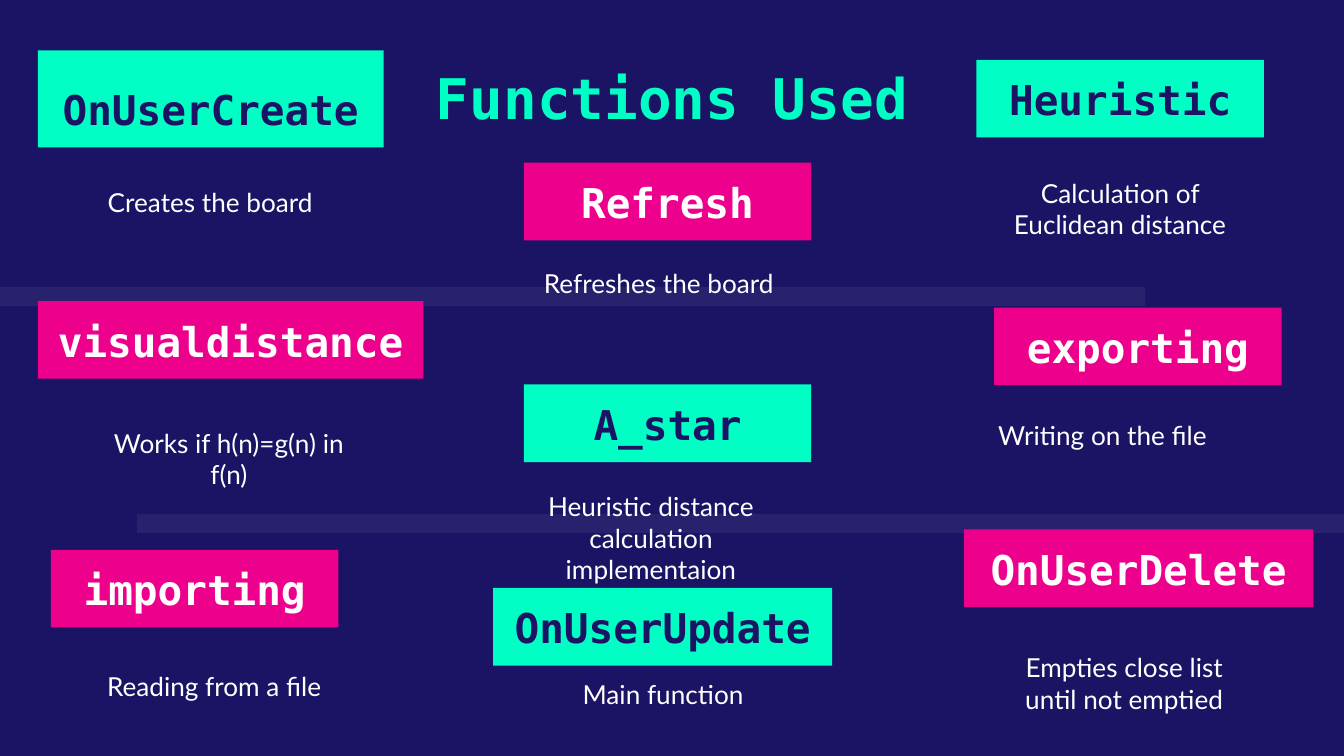
from pptx import Presentation
from pptx.dml.color import RGBColor
from pptx.enum.shapes import MSO_SHAPE
from pptx.enum.text import MSO_ANCHOR, PP_ALIGN
from pptx.oxml.ns import qn
from pptx.util import Pt
from lxml import etree

RECT = MSO_SHAPE.RECTANGLE
CENTER = PP_ALIGN.CENTER
TOP, BOTTOM = MSO_ANCHOR.TOP, MSO_ANCHOR.BOTTOM
NAVY = RGBColor(0x1B, 0x14, 0x64)
MINT = RGBColor(0x00, 0xFF, 0xC5)
PINK = RGBColor(0xEC, 0x00, 0x8C)
WHITE = RGBColor(0xFF, 0xFF, 0xFF)
MONO, SANS = "DejaVu Sans Mono", "Lato"
PAD = Pt(7.2)

prs = Presentation()
prs.slide_width, prs.slide_height = Pt(720), Pt(405)
s = prs.slides.add_slide(prs.slide_layouts[6])
s.background.fill.solid()
s.background.fill.fore_color.rgb = NAVY


def add_box(x, y, w, h, fill=None):
    """Add a borderless rectangle, or a text box when no fill is given."""
    box = Pt(x), Pt(y), Pt(w), Pt(h)
    if fill is None:
        return s.shapes.add_textbox(*box)
    sp = s.shapes.add_shape(RECT, *box)
    sp.shadow.inherit = False
    sp.fill.solid()
    sp.fill.fore_color.rgb = fill
    sp.line.fill.background()
    return sp


def write(sp, text, size=14, font=SANS, color=WHITE, bold=False, anchor=TOP):
    tf = sp.text_frame
    tf.word_wrap = True
    tf.vertical_anchor = anchor
    tf.margin_left = tf.margin_right = tf.margin_top = tf.margin_bottom = PAD
    p = tf.paragraphs[0]
    p.alignment = CENTER
    r = p.add_run()
    r.text = text
    r.font.name, r.font.size, r.font.bold = font, Pt(size), bold
    r.font.color.rgb = color


# Faint bars behind the content
for x, y, w in [(0, 153.9, 613.4), (73.4, 275.3, 646.6)]:
    bar = add_box(x, y, w, 10.2, WHITE)
    color = bar.fill._xPr.find(qn("a:solidFill"))[0]
    etree.SubElement(color, qn("a:alpha"), val="6000")

write(add_box(100.8, 26.8, 518.4, 52.4), "Functions Used",
      size=30, font=MONO, color=MINT, bold=True)

# Name, fill, (left, top, width, height) of the label,
# description, (left, top) of the description
functions = [
    ("OnUserCreate", MINT, (20.3, 27, 185.2, 52), "Creates the board", (38.2, 92.9)),
    ("visualdistance", PINK, (20.3, 161.3, 206.5, 41.6),
     "Works if h(n)=g(n) in f(n)", (48.2, 221.8)),
    ("importing", PINK, (27.3, 294.6, 154, 41.6), "Reading from a file", (40.3, 352.1)),
    ("Refresh", PINK, (280.6, 87.2, 154, 41.6), "Refreshes the board", (278.5, 136.1)),
    ("A_star", MINT, (280.6, 206, 154, 41.6),
     "Heuristic distance calculation implementaion", (274.3, 255.6)),
    ("OnUserUpdate", MINT, (264.2, 315, 181.7, 41.6), "Main function", (280.8, 356.4)),
    ("Heuristic", MINT, (523.1, 32.1, 154, 41.6),
     "Calculation of Euclidean distance", (525.6, 87.8)),
    ("exporting", PINK, (532.6, 164.8, 154, 41.6), "Writing on the file", (516.2, 217.4)),
    ("OnUserDelete", PINK, (516.4, 283.7, 187.2, 41.6),
     "Empties close list until not emptied", (527.8, 342)),
]
for name, fill, place, description, corner in functions:
    write(add_box(*corner, 149, 52.6), description)
    write(add_box(*place, fill), name, size=22, font=MONO, bold=True,
          color=NAVY if fill == MINT else WHITE, anchor=BOTTOM)

prs.save("out.pptx")
